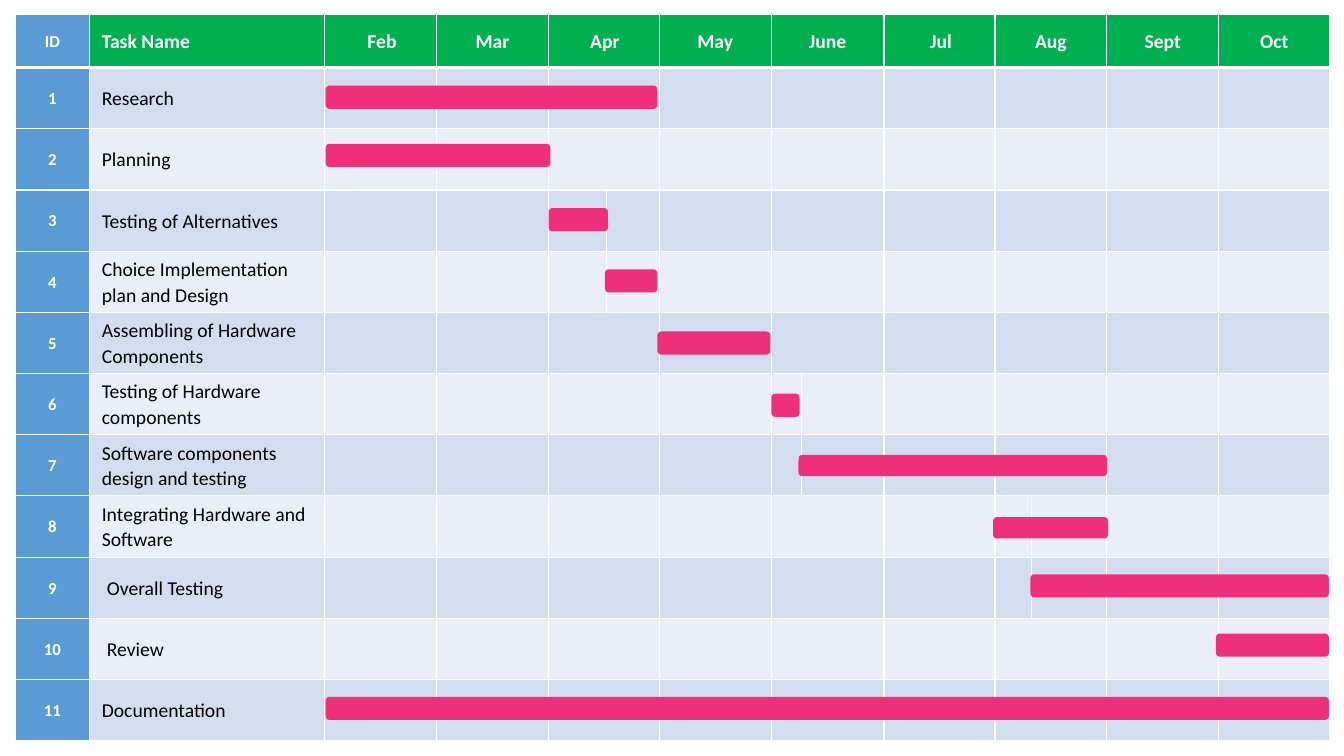
from lxml import etree
from pptx import Presentation
from pptx.dml.color import RGBColor
from pptx.enum.shapes import MSO_SHAPE as Shape
from pptx.enum.text import MSO_ANCHOR as Anchor, PP_ALIGN as Align
from pptx.oxml.ns import qn
from pptx.util import Inches, Pt

WHITE = RGBColor(0xFF, 0xFF, 0xFF)
BLACK = RGBColor(0x00, 0x00, 0x00)
BLUE = RGBColor(0x5B, 0x9B, 0xD5)
GREEN = RGBColor(0x00, 0xB0, 0x50)
DARK_BAND = RGBColor(0xD2, 0xDE, 0xEF)
LIGHT_BAND = RGBColor(0xEA, 0xEF, 0xF7)
PINK = RGBColor(0xEF, 0x30, 0x78)

FONT = "Calibri"
CHART_BOX = (0.15, 0.14, 13.03, 7.21)
HEADER_HEIGHT = 0.53
NAME_INDENT = 0.02
COLUMN_WIDTHS = [0.74, 2.33, 1.11, 1.11, 0.58, 0.52, 1.11,
                 0.3, 0.82, 1.1, 0.36, 0.75, 1.11, 1.1]

# Month, first column, indent
MONTHS = [("Feb", 2, 0.03), ("Mar", 3, 0), ("Apr", 4, 0.02),
          ("May", 6, 0), ("June", 7, 0), ("Jul", 9, 0.03),
          ("Aug", 10, 0), ("Sept", 12, 0), ("Oct", 13, 0)]

# First column of each two-part month, and the rows that keep both parts
SPLIT_MONTHS = {4: (3, 4), 7: (6, 7), 10: (8, 9)}

# Task, name indent, then bar left (from chart), drop (from row), width, height
TASKS = [
    ("Research", 0.02, 3.08, 0.18, 3.29, 0.23),
    ("Planning", 0.02, 3.08, 0.15, 2.23, 0.23),
    ("Testing of Alternatives", 0.02, 5.29, 0.18, 0.59, 0.23),
    ("Choice Implementation plan and Design", 0.02, 5.85, 0.18, 0.52, 0.23),
    ("Assembling of Hardware Components", 0.02, 6.37, 0.19, 1.12, 0.23),
    ("Testing of Hardware components", 0.02, 7.5, 0.2, 0.28, 0.23),
    ("Software components design and testing", 0.02, 7.77, 0.2, 3.06, 0.21),
    ("Integrating Hardware and Software", 0.02, 9.7, 0.21, 1.14, 0.21),
    ("Overall Testing", 0.07, 10.07, 0.17, 2.96, 0.23),
    ("Review", 0.07, 11.91, 0.15, 1.12, 0.23),
    ("Documentation", 0.02, 3.08, 0.17, 9.95, 0.23),
]


def set_borders(cell, top, bottom):
    """Give the cell white borders; top and bottom are widths in points."""
    properties = cell._tc.get_or_add_tcPr()
    for side, width in (("L", 1), ("R", 1), ("T", top), ("B", bottom)):
        line = etree.SubElement(properties, qn(f"a:ln{side}"), w=str(Pt(width)))
        fill = etree.SubElement(line, qn("a:solidFill"))
        etree.SubElement(fill, qn("a:srgbClr"), val=str(WHITE))


def paint_cell(cell, row, color):
    set_borders(cell, top=3 if row == 1 else 1, bottom=3 if row == 0 else 1)
    cell.fill.solid()
    cell.fill.fore_color.rgb = color
    cell.vertical_anchor = Anchor.MIDDLE


def write_cell(cell, text, size=14, color=WHITE, bold=True,
               align=Align.CENTER, indent=0):
    para = cell.text_frame.paragraphs[0]
    para.alignment = align
    para.line_spacing = 1.07
    if indent:
        para._p.get_or_add_pPr().set("marL", str(Inches(indent)))
    span = para.add_run()
    span.text = text
    span.font.name = FONT
    span.font.size = Pt(size)
    span.font.bold = bold
    span.font.color.rgb = color


def write_id(cell, text):
    cell.margin_left = cell.margin_right = 0
    cell.margin_top = cell.margin_bottom = 0
    write_cell(cell, text, size=12)


def add_schedule(page, box, row_height):
    table = page.shapes.add_table(len(TASKS) + 1, len(COLUMN_WIDTHS),
                                  *map(Inches, box)).table
    for column, width in zip(table.columns, COLUMN_WIDTHS):
        column.width = Inches(width)

    for row, table_row in enumerate(table.rows):
        table_row.height = Inches(row_height if row else HEADER_HEIGHT)
        band = (DARK_BAND if row % 2 else LIGHT_BAND) if row else GREEN
        for column, cell in enumerate(table_row.cells):
            paint_cell(cell, row, band if column else BLUE)
        for first, split_rows in SPLIT_MONTHS.items():
            if row not in split_rows:
                table.cell(row, first).merge(table.cell(row, first + 1))

    write_id(table.cell(0, 0), "ID")
    write_cell(table.cell(0, 1), "Task Name", align=Align.LEFT,
               indent=NAME_INDENT)
    for month, column, indent in MONTHS:
        write_cell(table.cell(0, column), month, indent=indent)
    for row, (name, indent, *_) in enumerate(TASKS, start=1):
        write_id(table.cell(row, 0), str(row))
        write_cell(table.cell(row, 1), name, color=BLACK, bold=False,
                   align=Align.LEFT, indent=indent)


def add_task_bars(page, box, row_height):
    left, top = box[:2]
    for index, (_, _, start, drop, width, height) in enumerate(TASKS):
        row_top = top + HEADER_HEIGHT + index * row_height
        bar = page.shapes.add_shape(
            Shape.ROUNDED_RECTANGLE, Inches(left + start),
            Inches(row_top + drop), Inches(width), Inches(height))
        bar.shadow.inherit = False
        bar.fill.solid()
        bar.fill.fore_color.rgb = PINK
        bar.line.fill.background()


def add_gantt_chart(page, box):
    row_height = (box[3] - HEADER_HEIGHT) / len(TASKS)
    add_schedule(page, box, row_height)
    add_task_bars(page, box, row_height)


def main():
    deck = Presentation()
    deck.slide_width = Inches(13.33)
    deck.slide_height = Inches(7.5)
    page = deck.slides.add_slide(deck.slide_layouts[6])
    add_gantt_chart(page, CHART_BOX)
    deck.save("out.pptx")


if __name__ == "__main__":
    main()
